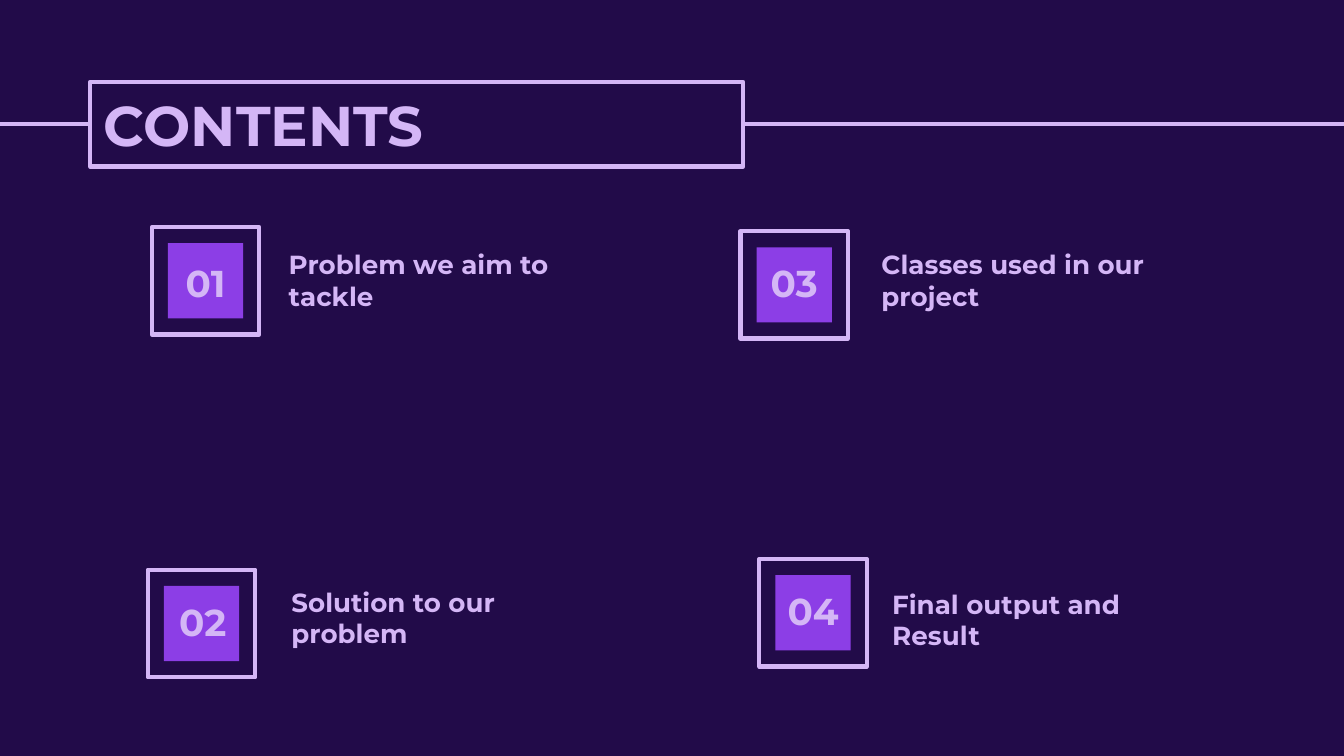
from pptx import Presentation
from pptx.dml.color import RGBColor
from pptx.enum.shapes import MSO_CONNECTOR, MSO_SHAPE
from pptx.enum.text import MSO_ANCHOR, MSO_AUTO_SIZE, PP_ALIGN
from pptx.oxml.ns import qn
from pptx.util import Inches, Pt
from lxml import etree

RECTANGLE = MSO_SHAPE.RECTANGLE
STRAIGHT = MSO_CONNECTOR.STRAIGHT
TOP, MIDDLE = MSO_ANCHOR.TOP, MSO_ANCHOR.MIDDLE
LEFT, CENTER = PP_ALIGN.LEFT, PP_ALIGN.CENTER
NO_AUTO_SIZE = MSO_AUTO_SIZE.NONE

NIGHT = RGBColor(0x22, 0x0B, 0x49)
LILAC = RGBColor(0xD4, 0xB6, 0xF6)
VIOLET = RGBColor(0x8C, 0x3E, 0xE6)

FONT = "Montserrat"
WIDTH = 10
HEIGHT = WIDTH * 9 / 16
STROKE = Pt(2.25)
BADGE, TILE = 0.8, 0.56

ITEMS = [
    ("01", "Problem we aim to tackle", (1.13, 1.69), (1.13, 1.91, 0.8, 0.38), (2.05, 1.75, 2.58, 0.46), 0.1),
    ("02", "Solution to our problem", (1.1, 4.24), (1.11, 4.24, 0.8, 0.77), (2.07, 4.26, 2.58, 0.63), 0.1),
    ("03", "Classes used in our project", (5.51, 1.72), (5.51, 1.91, 0.8, 0.38), (6.46, 1.75, 2.58, 0.46), 0.1),
    ("04", "Final output and Result", (5.65, 4.16), (5.76, 4.33, 0.58, 0.42), (6.54, 4.33, 2.46, 0.56), 0.05),
]


def write_text(shape, text, size, align=LEFT, anchor=TOP, inset=0.1):
    frame = shape.text_frame
    frame.word_wrap = True
    frame.auto_size = NO_AUTO_SIZE
    frame.vertical_anchor = anchor
    frame.margin_left = frame.margin_right = Inches(0.1)
    frame.margin_top = frame.margin_bottom = Inches(inset)
    frame.text = text
    para = frame.paragraphs[0]
    para.alignment = align
    para.font.name = FONT
    para.font.size = Pt(size)
    para.font.bold = True
    para.font.color.rgb = LILAC


def outline(shape):
    shape.line.color.rgb = LILAC
    shape.line.width = STROKE


def add_square(shapes, left, top, side):
    square = shapes.add_shape(RECTANGLE, *map(Inches, (left, top, side, side)))
    square.shadow.inherit = False
    return square


def add_label(page, box, text, size, **style):
    label = page.shapes.add_textbox(*map(Inches, box))
    write_text(label, text, size, **style)


def add_header(page, box, text):
    left, top, width, height = map(Inches, box)
    title = page.shapes.title
    title.left, title.top, title.width, title.height = left, top, width, height
    title.fill.solid()
    title.fill.fore_color.rgb = NIGHT
    outline(title)
    write_text(title, text, 30, anchor=MIDDLE)

    middle = top + height // 2
    rule = page.shapes.add_connector(STRAIGHT, 0, middle, Inches(WIDTH), middle)
    outline(rule)
    etree.SubElement(rule.element.spPr, qn("a:effectLst"))
    title.element.addprevious(rule.element)


def add_badge(page, left, top):
    group = page.shapes.add_group_shape()
    border = add_square(group.shapes, left, top, BADGE)
    border.fill.background()
    outline(border)
    gap = (BADGE - TILE) / 2
    tile = add_square(group.shapes, left + gap, top + gap, TILE)
    tile.fill.solid()
    tile.fill.fore_color.rgb = VIOLET
    tile.line.fill.background()


def add_item(page, number, topic, corner, number_box, topic_box, inset):
    add_badge(page, *corner)
    add_label(page, number_box, number, 20, align=CENTER, anchor=MIDDLE, inset=inset)
    add_label(page, topic_box, topic, 14, inset=inset)


def main():
    deck = Presentation()
    deck.slide_width, deck.slide_height = Inches(WIDTH), Inches(HEIGHT)
    page = deck.slides.add_slide(deck.slide_layouts.get_by_name("Title Only"))
    page.background.fill.solid()
    page.background.fill.fore_color.rgb = NIGHT
    add_header(page, (0.67, 0.61, 4.86, 0.63), "CONTENTS")
    for item in ITEMS:
        add_item(page, *item)
    deck.save("out.pptx")


if __name__ == "__main__":
    main()
